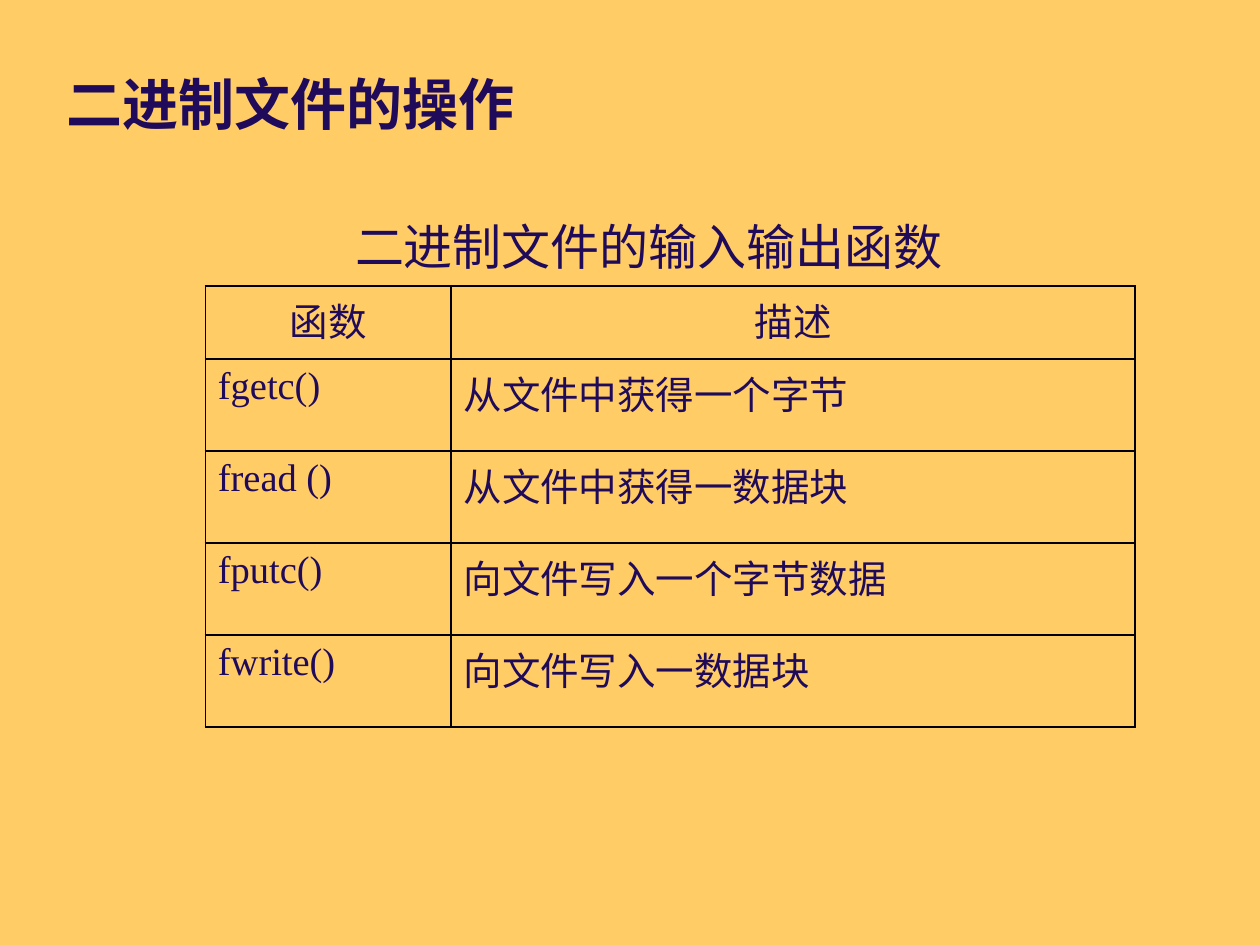
"""Build a slide with a table of binary file input and output functions."""
from lxml.etree import SubElement
from pptx import Presentation
from pptx.dml.color import RGBColor
from pptx.enum.text import MSO_ANCHOR as Anchor, PP_ALIGN as Align
from pptx.oxml.ns import qn
from pptx.util import Inches, Pt

INK = "200B5B"
CJK_FONT = "Noto Sans CJK SC"


def format_text(text_frame, size, font_name, alignment=Align.LEFT, bold=False):
    """Format every run of a text frame, with a font for Chinese as well."""
    for paragraph in text_frame.paragraphs:
        paragraph.alignment = alignment
        for run in paragraph.runs:
            run.font.size = Pt(size)
            run.font.name = font_name
            run.font.bold = bold
            run.font.color.rgb = RGBColor.from_string(INK)
            SubElement(run.font._element, qn("a:ea"), typeface=CJK_FONT)


def add_borders(cell, color, width):
    """Draw a solid line on all four sides of a cell."""
    properties = cell._tc.get_or_add_tcPr()
    for index, side in enumerate(("lnL", "lnR", "lnT", "lnB")):
        line = properties.makeelement(qn(f"a:{side}"), {"w": str(Pt(width))})
        fill = SubElement(line, qn("a:solidFill"))
        SubElement(fill, qn("a:srgbClr"), val=color)
        properties.insert(index, line)


presentation = Presentation()
presentation.slide_width = Inches(10)
presentation.slide_height = Inches(7.5)
slide = presentation.slides.add_slide(presentation.slide_layouts[5])
slide.background.fill.solid()
slide.background.fill.fore_color.rgb = RGBColor.from_string("FFCC66")

title = slide.shapes.title
title.left, title.top = Inches(0.43), Inches(0.36)
title.width, title.height = Inches(7.88), Inches(0.91)
title.text_frame.text = "二进制文件的操作"
title.text_frame.vertical_anchor = Anchor.MIDDLE
format_text(title.text_frame, 32, CJK_FONT, bold=True)

caption = slide.shapes.add_textbox(Inches(2.72), Inches(1.67), Inches(4.96), Inches(0.57))
caption.text_frame.text = "二进制文件的输入输出函数"
caption.text_frame.word_wrap = True
caption.text_frame.vertical_anchor = Anchor.MIDDLE
format_text(caption.text_frame, 28, "Arial")

rows = [
    ("函数", "描述"),
    ("fgetc()", "从文件中获得一个字节"),
    ("fread ()", "从文件中获得一数据块"),
    ("fputc()", "向文件写入一个字节数据"),
    ("fwrite()", "向文件写入一数据块"),
]
table = slide.shapes.add_table(
    len(rows), 2, Inches(1.63), Inches(2.27), Inches(7.38), Inches(3.49)
).table
table.first_row = False
table.horz_banding = False
table.columns[0].width = Inches(1.95)
table.columns[1].width = Inches(5.43)

for row_index, texts in enumerate(rows):
    is_header = row_index == 0
    table.rows[row_index].height = Inches(0.58 if is_header else 0.73)
    for column_index, text in enumerate(texts):
        cell = table.cell(row_index, column_index)
        cell.text_frame.text = text
        cell.fill.background()
        format_text(cell.text_frame, 22, "Times New Roman",
                    Align.CENTER if is_header else Align.LEFT)
        add_borders(cell, "000000", 1)

presentation.save("out.pptx")
